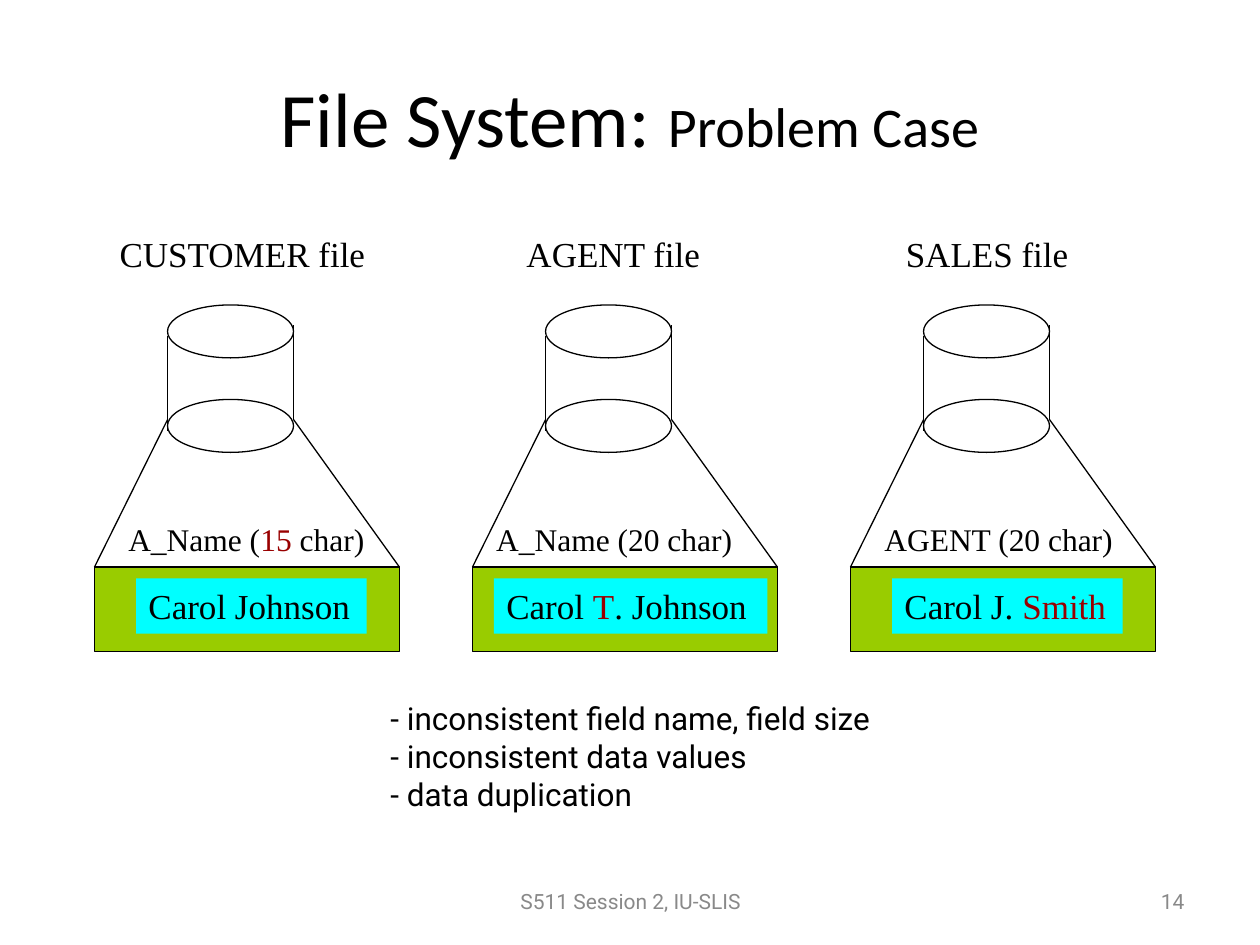
from pptx import Presentation
from pptx.dml.color import RGBColor
from pptx.enum.shapes import MSO_CONNECTOR, MSO_SHAPE
from pptx.enum.text import MSO_ANCHOR, MSO_AUTO_SIZE, PP_ALIGN
from pptx.oxml.ns import qn
from pptx.util import Inches, Pt
from lxml.etree import SubElement

COLORS = {
    "black": "000000",
    "red": "990000",
    "gray": "898989",
    "green": "99CC00",
    "cyan": "00FFFF",
}
SERIF = "Times New Roman"
SANS = "Roboto"

FILES = [
    {"heading": ("CUSTOMER file", 0.85, 2.15),
     "field": ([("A_Name (", "black"), ("15", "red"), (" char)", "black")], 0.92, 2.1),
     "value": ([("Carol Johnson", "black")], 1.08, 1.83)},
    {"heading": ("AGENT file", 4.08, 1.58),
     "field": ([("A_Name (20 char)", "black")], 3.84, 2.1),
     "value": ([("Carol ", "black"), ("T", "red"), (". Johnson", "black")], 3.92, 2.17)},
    {"heading": ("SALES file", 7.09, 1.49),
     "field": ([("AGENT (20 char)", "black")], 6.92, 2.05),
     "value": ([("Carol J. ", "black"), ("Smith", "red")], 7.08, 1.83)},
]
PROBLEMS = [
    "- inconsistent field name, field size",
    "- inconsistent data values",
    "- data duplication",
]


def rgb(name):
    """Return the named colour."""
    return RGBColor.from_string(COLORS[name])


def add_runs(p, runs, size, font, align=PP_ALIGN.LEFT):
    """Fill a paragraph with (text, colour) runs in one font."""
    p.alignment = align
    p.font.size = Pt(size)
    p.font.name = font
    for text, color in runs:
        r = p.add_run()
        r.text = text
        r.font.color.rgb = rgb(color)


def add_text(slide, box, lines, size, font, align=PP_ALIGN.LEFT,
             anchor=MSO_ANCHOR.TOP, wrap=True):
    """Add a text box with one paragraph per list of runs."""
    s = slide.shapes.add_textbox(*map(Inches, box))
    tf = s.text_frame
    tf.word_wrap = wrap
    tf.auto_size = MSO_AUTO_SIZE.NONE if wrap else MSO_AUTO_SIZE.SHAPE_TO_FIT_TEXT
    tf.vertical_anchor = anchor
    for i, runs in enumerate(lines):
        p = tf.add_paragraph() if i else tf.paragraphs[0]
        add_runs(p, runs, size, font, align)
    return s


def add_title(slide, main, detail):
    """Add the centred title with a smaller second part."""
    s = add_text(slide, (0.5, 0.3, 9, 1.25), [[(main, "black"), (detail, "black")]],
                 44, "Calibri", PP_ALIGN.CENTER, MSO_ANCHOR.MIDDLE)
    s.text_frame.paragraphs[0].runs[1].font.size = Pt(32)


def add_outlined(shapes, kind, box, fill=None):
    """Add a thin black outlined shape, hollow unless a fill is named."""
    s = shapes.add_shape(kind, *map(Inches, box))
    s.shadow.inherit = False
    s.line.color.rgb = rgb("black")
    s.line.width = Pt(0.75)
    if fill:
        s.fill.solid()
        s.fill.fore_color.rgb = rgb(fill)
    else:
        s.fill.background()


def add_line(shapes, x1, y1, x2, y2):
    """Add a thin black straight line."""
    s = shapes.add_connector(MSO_CONNECTOR.STRAIGHT, *map(Inches, (x1, y1, x2, y2)))
    s.line.color.rgb = rgb("black")
    s.line.width = Pt(0.75)
    SubElement(s._element.spPr, qn("a:effectLst"))


def add_cylinder(slide, left):
    """Add the grouped drum made of two ellipses and two sides."""
    shapes = slide.shapes.add_group_shape().shapes
    add_outlined(shapes, MSO_SHAPE.OVAL, (left, 2.42, 1, 0.42))
    add_line(shapes, left, 2.67, left, 3.42)
    add_line(shapes, left + 1, 2.58, left + 1, 3.33)
    add_outlined(shapes, MSO_SHAPE.OVAL, (left, 3.17, 1, 0.42))


def add_value(slide, runs, left, width):
    """Add the highlighted data value on the record bar."""
    s = add_text(slide, (left, 4.59, width, 0.44), [runs], 20, SERIF)
    s.fill.solid()
    s.fill.fore_color.rgb = rgb("cyan")


def add_file(slide, left, heading, field, value):
    """Add one file: heading, drum, expanded record, field and value."""
    text, x, width = heading
    add_text(slide, (x, 1.8, width, 0.44), [[(text, "black")]], 20, SERIF, wrap=False)
    drum = left + 0.58
    add_cylinder(slide, drum)
    add_line(slide.shapes, drum, 3.33, left, 4.5)
    add_line(slide.shapes, drum + 1, 3.33, left + 2.42, 4.5)
    add_outlined(slide.shapes, MSO_SHAPE.RECTANGLE, (left, 4.5, 2.42, 0.67), "green")
    runs, x, width = field
    add_text(slide, (x, 4.08, width, 0.4), [runs], 18, SERIF, wrap=False)
    add_value(slide, *value)


def add_footer(slide, text, left, width, align):
    """Add a small grey footer text."""
    add_text(slide, (left, 6.95, width, 0.4), [[(text, "gray")]], 12, SANS,
             align, MSO_ANCHOR.MIDDLE)


def main():
    """Build the slide and save it."""
    prs = Presentation()
    prs.slide_width = Inches(10)
    prs.slide_height = Inches(7.5)
    slide = prs.slides.add_slide(prs.slide_layouts[6])
    add_title(slide, "File System: ", "Problem Case")
    for i, file in enumerate(FILES):
        add_file(slide, 0.75 + 3 * i, **file)
    add_text(slide, (3, 5.5, 4.42, 1), [[(line, "black")] for line in PROBLEMS], 18, SANS)
    add_footer(slide, "S511 Session 2, IU-SLIS", 3.42, 3.17, PP_ALIGN.CENTER)
    add_footer(slide, "14", 7.17, 2.33, PP_ALIGN.RIGHT)
    prs.save("out.pptx")


if __name__ == "__main__":
    main()
